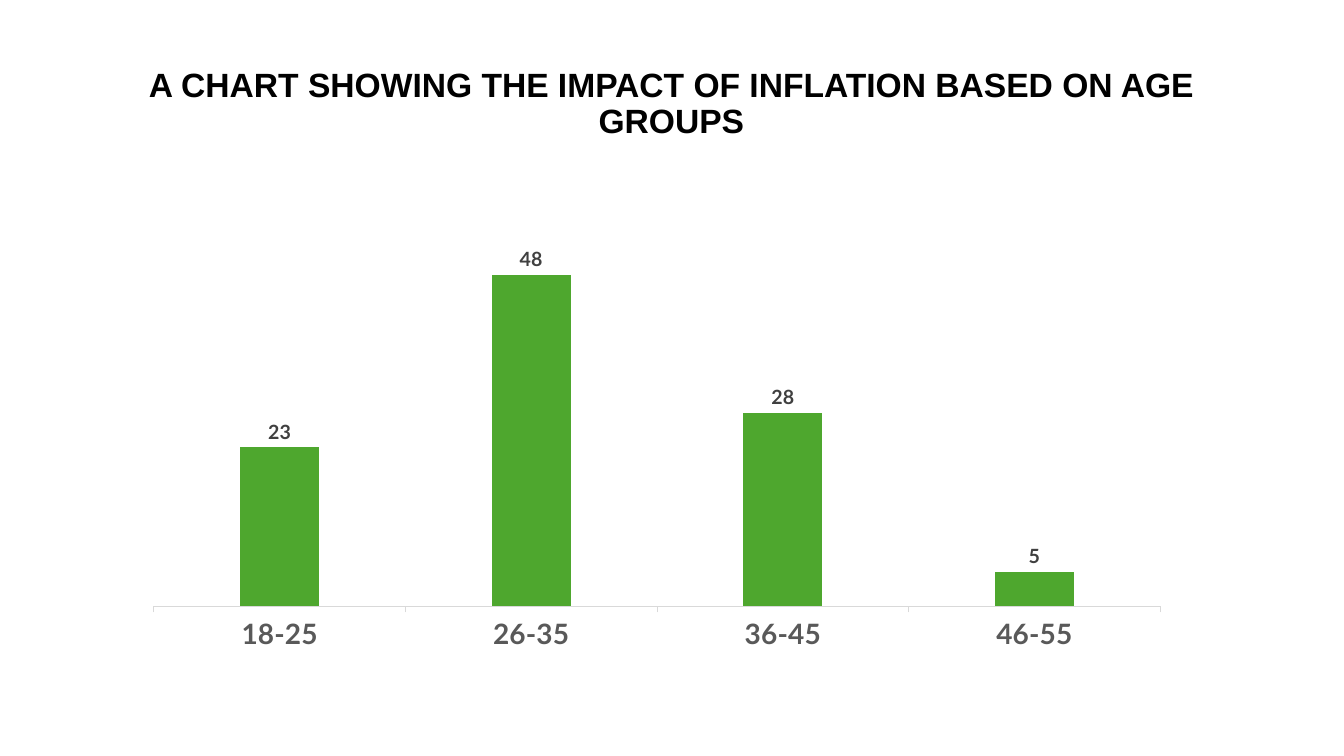
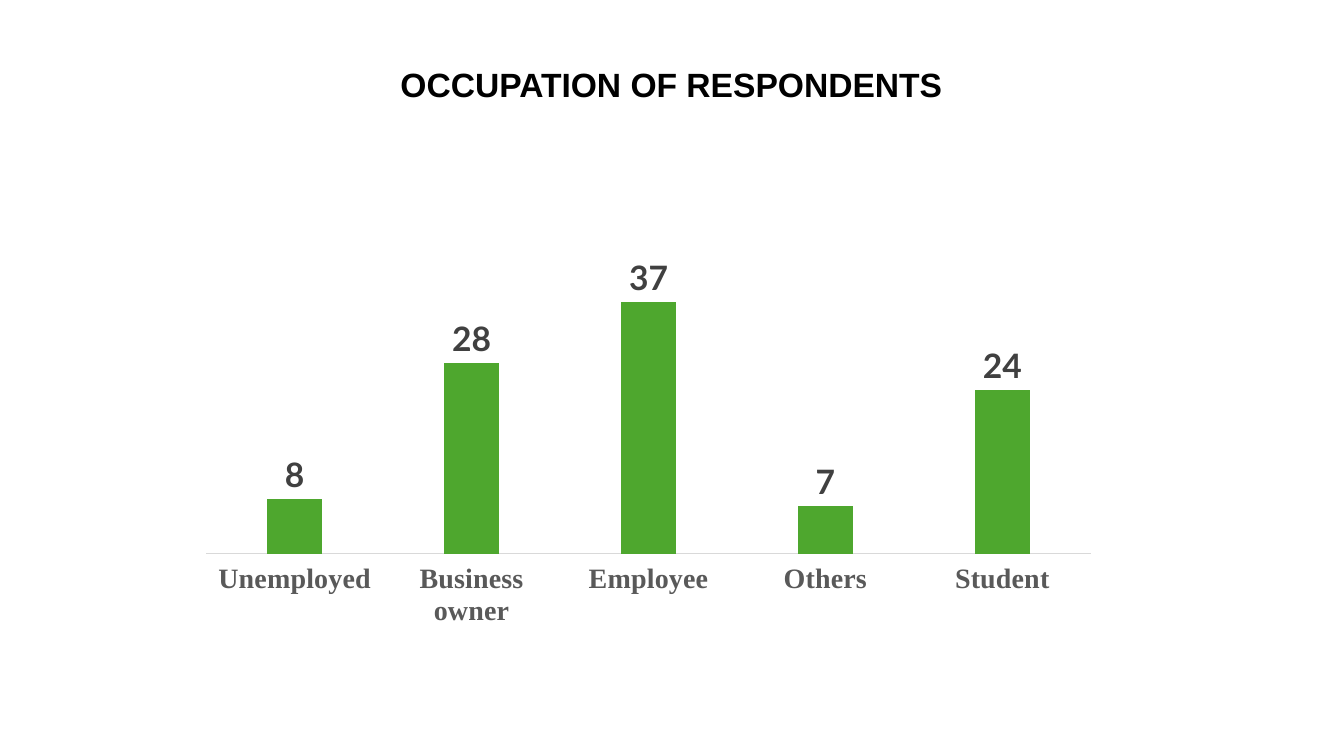
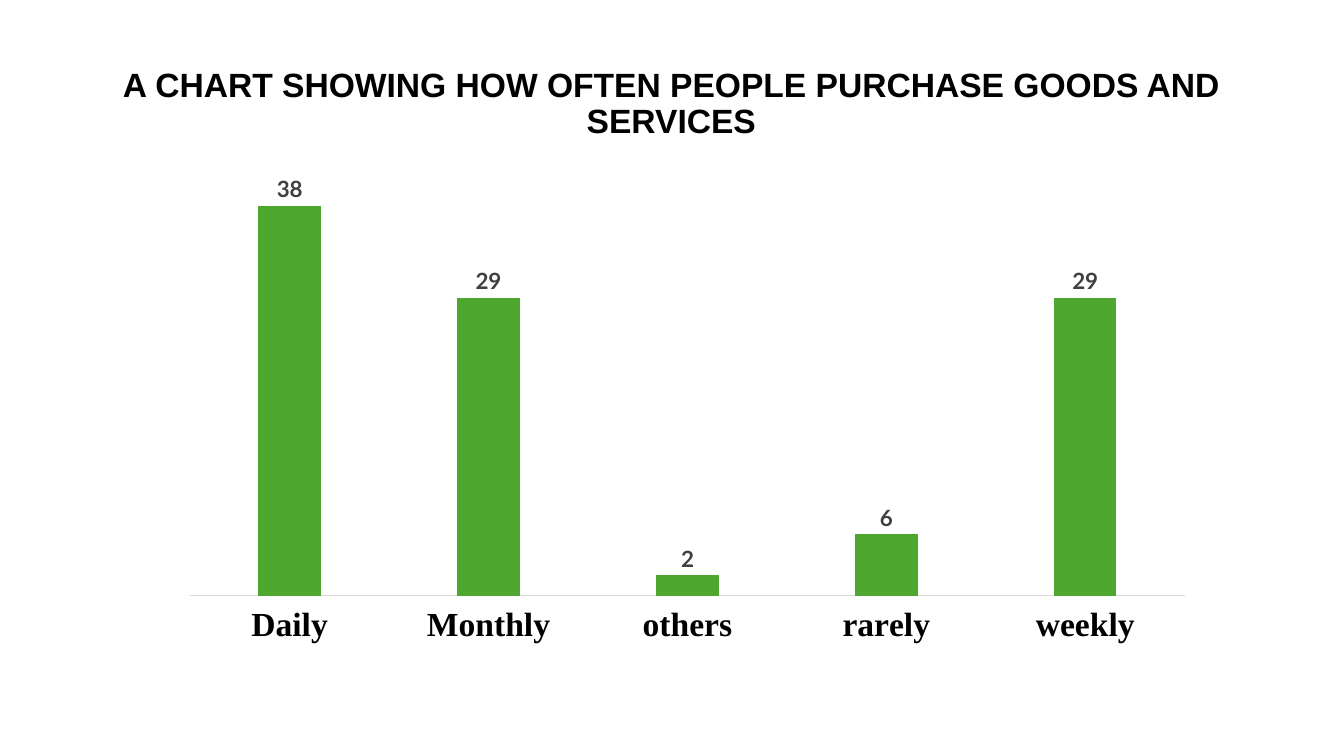
from lxml import etree
from pptx import Presentation
from pptx.chart.data import CategoryChartData
from pptx.dml.color import RGBColor
from pptx.enum.chart import XL_CHART_TYPE, XL_LABEL_POSITION, XL_TICK_LABEL_POSITION, XL_TICK_MARK
from pptx.enum.text import MSO_ANCHOR, PP_ALIGN
from pptx.oxml.ns import qn
from pptx.util import Cm, Pt

COLUMNS = XL_CHART_TYPE.COLUMN_CLUSTERED
OUTSIDE_END = XL_LABEL_POSITION.OUTSIDE_END
LABELS_LOW = XL_TICK_LABEL_POSITION.LOW
TICK_NONE = XL_TICK_MARK.NONE
TICK_OUT = XL_TICK_MARK.OUTSIDE
CENTER = PP_ALIGN.CENTER
TOP = MSO_ANCHOR.TOP

BLACK, GREEN, LABEL_GREY, AXIS_GREY, LINE_GREY = "000000", "4EA72E", "404040", "595959", "D9D9D9"
SERIF = "Times New Roman"
SANS = "Lato"
TITLE_BOX = (1.63, 1.6, 30.58, 15.06)

# Boxes are left, top, width, height in cm; plots are fractions of the chart
SLIDES = [
    {
        "title": "A CHART SHOWING THE IMPACT OF INFLATION BASED ON AGE GROUPS",
        "box": (3.35, 4.6, 26.42, 12.07),
        "plot": (0.02, 0.02, 0.96, 0.865),
        "values": {"18-25": 23, "26-35": 48, "36-45": 28, "46-55": 5},
        "maximum": 60,
        "tick": TICK_OUT,
        "axis_font": {"name": SANS, "size": 20, "color": AXIS_GREY},
        "label_size": 14,
    },
    {
        "title": "OCCUPATION OF RESPONDENTS",
        "box": (4.45, 4.29, 24.1, 12.37),
        "plot": (0.031, 0.226, 0.925, 0.555),
        "values": {"Unemployed": 8, "Business owner": 28, "Employee": 37, "Others": 7, "Student": 24},
        "maximum": 40,
        "tick": TICK_NONE,
        "axis_font": {"name": SERIF, "size": 20, "color": AXIS_GREY},
        "label_size": 24,
    },
    {
        "title": "A CHART SHOWING HOW OFTEN PEOPLE PURCHASE GOODS AND SERVICES",
        "box": (4.27, 4.42, 26.11, 11.91),
        "plot": (0.02, 0.02, 0.96, 0.87),
        "values": {"Daily": 38, "Monthly": 29, "others": 2, "rarely": 6, "weekly": 29},
        "maximum": 40,
        "tick": TICK_NONE,
        "axis_font": {"name": SERIF, "size": 24, "color": BLACK},
        "label_size": 16,
    },
]


def rgb(value):
    return RGBColor.from_string(value)


def set_all(target, values):
    for name, value in values.items():
        setattr(target, name, value)


def style_font(font, name, size, color, bold=True):
    set_all(font, {"name": name, "size": Pt(size), "bold": bold})
    font.color.rgb = rgb(color)


def place_plot(chart, fractions):
    """Fix the inner plot area within the chart."""
    plot_area = chart.element.find(".//" + qn("c:plotArea"))
    for old_layout in plot_area.findall(qn("c:layout")):
        plot_area.remove(old_layout)
    layout = etree.Element(qn("c:layout"))
    manual = etree.SubElement(layout, qn("c:manualLayout"))
    settings = [("layoutTarget", "inner"), ("xMode", "edge"), ("yMode", "edge")]
    settings += zip("xywh", fractions)
    for tag, value in settings:
        etree.SubElement(manual, qn("c:" + tag)).set("val", str(value))
    plot_area.insert(0, layout)


def add_title(slide, text, box):
    frame = slide.shapes.add_textbox(*map(Cm, box)).text_frame
    set_all(frame, {"word_wrap": True, "vertical_anchor": TOP})
    paragraph = frame.paragraphs[0]
    set_all(paragraph, {"alignment": CENTER, "line_spacing": 0.9, "space_before": Pt(10)})
    run = paragraph.add_run()
    run.text = text
    style_font(run.font, "Arial", 24, BLACK)


def add_column_chart(slide, content):
    data = CategoryChartData()
    data.categories = list(content["values"])
    data.add_series("Series 1", list(content["values"].values()))
    chart = slide.shapes.add_chart(COLUMNS, *map(Cm, content["box"]), data).chart
    set_all(chart, {"has_title": False, "has_legend": False})
    style_font(chart.font, SANS, 10, BLACK, bold=False)
    place_plot(chart, content["plot"])

    # Columns and their value labels
    plot = chart.plots[0]
    set_all(plot, {"gap_width": 219, "overlap": -27, "vary_by_categories": False, "has_data_labels": True})
    fill = plot.series[0].format.fill
    fill.solid()
    fill.fore_color.rgb = rgb(GREEN)
    set_all(plot.data_labels, {"show_value": True, "position": OUTSIDE_END})
    style_font(plot.data_labels.font, SANS, content["label_size"], LABEL_GREY)

    # Axes
    set_all(chart.value_axis, {
        "visible": False, "has_major_gridlines": False,
        "minimum_scale": 0, "maximum_scale": content["maximum"],
    })
    axis = chart.category_axis
    set_all(axis, {
        "has_major_gridlines": False, "tick_label_position": LABELS_LOW,
        "major_tick_mark": content["tick"], "minor_tick_mark": TICK_NONE,
    })
    axis.format.line.width = Pt(0.75)
    axis.format.line.color.rgb = rgb(LINE_GREY)
    style_font(axis.tick_labels.font, **content["axis_font"])


def main():
    presentation = Presentation()
    set_all(presentation, {"slide_width": Cm(33.87), "slide_height": Cm(19.05)})
    for content in SLIDES:
        slide = presentation.slides.add_slide(presentation.slide_layouts[6])
        add_title(slide, content["title"], TITLE_BOX)
        add_column_chart(slide, content)
    presentation.save("out.pptx")


if __name__ == "__main__":
    main()
